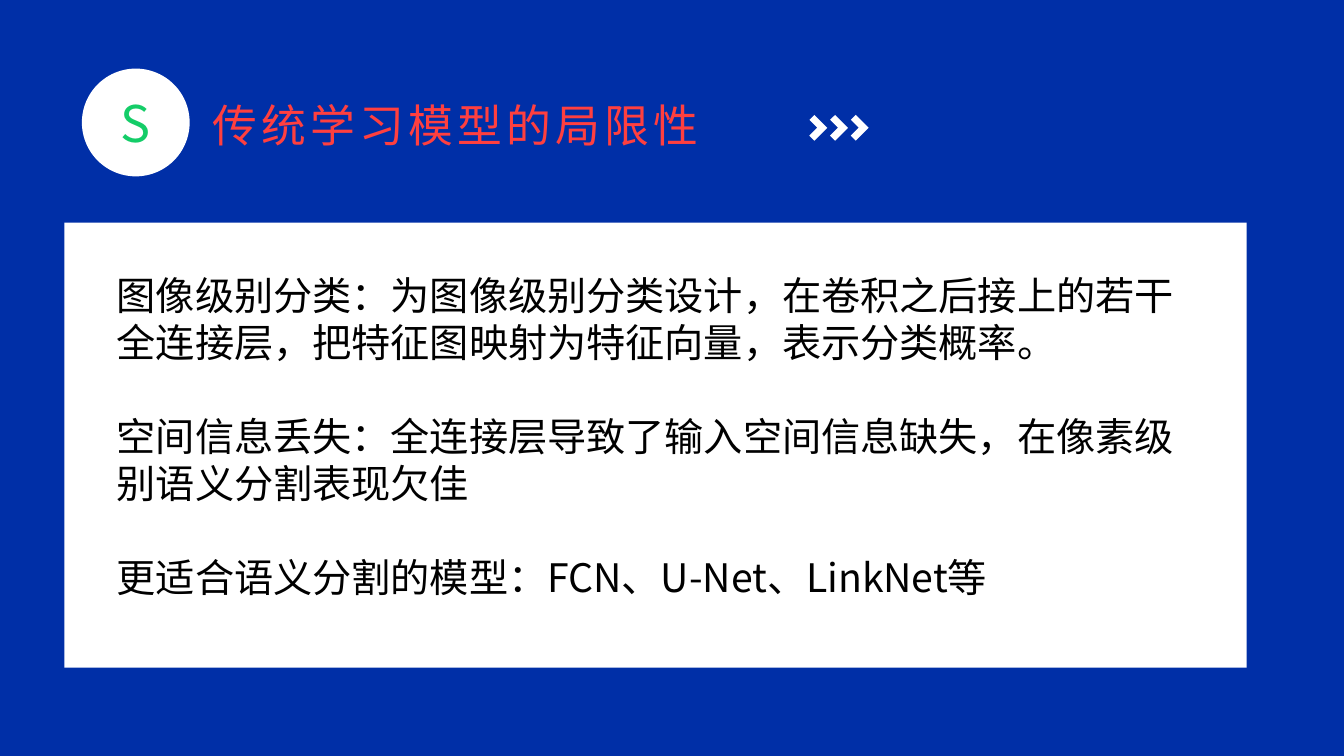
from dataclasses import dataclass
from lxml.etree import SubElement
from pptx import Presentation
from pptx.dml.color import RGBColor
from pptx.enum.shapes import MSO_SHAPE
from pptx.enum.text import MSO_ANCHOR, PP_ALIGN
from pptx.oxml.ns import qn
from pptx.util import Pt


@dataclass(frozen=True)
class Theme:
    """Colours, fonts and type sizes."""
    blue: str = "002FA7"
    white: str = "FFFFFF"
    green: str = "14CD68"
    red: str = "FF3F3F"
    black: str = "000000"
    badge_face: str = "Noto Sans CJK SC"
    face: str = "Noto Sans CJK JP"
    badge: int = 36
    title: int = 32
    body: int = 28
    lead: float = 1.2


class Deck:
    """Draws styled elements on the current slide."""

    def __init__(self, theme):
        """Open a deck with one blank slide."""
        self.theme = theme
        self.deck = Presentation()
        self.deck.slide_width, self.deck.slide_height = Pt(960), Pt(540)
        self.slide = self.deck.slides.add_slide(self.deck.slide_layouts[6])
        self.paint(self.slide.background.fill, theme.blue)

    def paint(self, fill, color):
        """Make a fill solid."""
        fill.solid()
        fill.fore_color.rgb = RGBColor.from_string(color)

    def style(self, para, size, color, face, track=0):
        """Set the type of a paragraph."""
        font = para.font
        font.size, font.name = Pt(size), face
        self.paint(font.fill, color)
        props = para._p.pPr.find(qn("a:defRPr"))
        SubElement(props, qn("a:ea")).set("typeface", face)
        if track:
            props.set("spc", str(track * 100))

    def shape(self, kind, left, top, width, height, turn=0, adjust=()):
        """Add a plain white shape."""
        item = self.slide.shapes.add_shape(
            kind, Pt(left), Pt(top), Pt(width), Pt(height))
        item.shadow.inherit = False
        self.paint(item.fill, self.theme.white)
        item.line.fill.background()
        item.rotation = turn
        for index, value in enumerate(adjust):
            item.adjustments[index] = value
        return item

    def badge(self, letter, left, top, side):
        """Add a round badge with a letter."""
        frame = self.shape(MSO_SHAPE.OVAL, left, top, side, side).text_frame
        frame.vertical_anchor = MSO_ANCHOR.MIDDLE
        para = frame.paragraphs[0]
        para.text, para.alignment = letter, PP_ALIGN.CENTER
        self.style(para, self.theme.badge, self.theme.green,
                   self.theme.badge_face)

    def text(self, lines, left, top, width, height, size, color,
             wrap=True, track=0):
        """Add paragraphs one blank line apart."""
        frame = self.slide.shapes.add_textbox(
            Pt(left), Pt(top), Pt(width), Pt(height)).text_frame
        frame.word_wrap = wrap
        pitch = Pt(size * self.theme.lead)
        for index, line in enumerate(lines):
            para = frame.add_paragraph() if index else frame.paragraphs[0]
            para.text, para.line_spacing = line, pitch
            para.space_before = pitch if index else Pt(0)
            self.style(para, size, color, self.theme.face, track)

    def arrows(self, left, top, side, step, count):
        """Add a row of chevrons."""
        for index in range(count):
            self.shape(MSO_SHAPE.CORNER, left + index * step, top, side, side,
                       225, (0.38, 0.39))

    def save(self):
        """Write the deck."""
        self.deck.save("out.pptx")


def main():
    """Build the slide."""
    theme = Theme()
    deck = Deck(theme)
    deck.shape(MSO_SHAPE.RECTANGLE, 46, 159, 844.5, 318)
    deck.badge("S", 58.5, 49, 77)
    deck.text(["传统学习模型的局限性"], 144.7, 66.5, 364, 46,
              theme.title, theme.red, wrap=False, track=3)
    deck.arrows(575.2, 84.8, 13, 14.8, 3)
    deck.text([
        "图像级别分类：为图像级别分类设计，在卷积之后接上的若干全连接层，把特征图映射为特征向量，表示分类概率。",
        "空间信息丢失：全连接层导致了输入空间信息缺失，在像素级别语义分割表现欠佳",
        "更适合语义分割的模型：FCN、U-Net、LinkNet等",
    ], 76.3, 190, 780, 245, theme.body, theme.black)
    deck.save()


if __name__ == "__main__":
    main()
